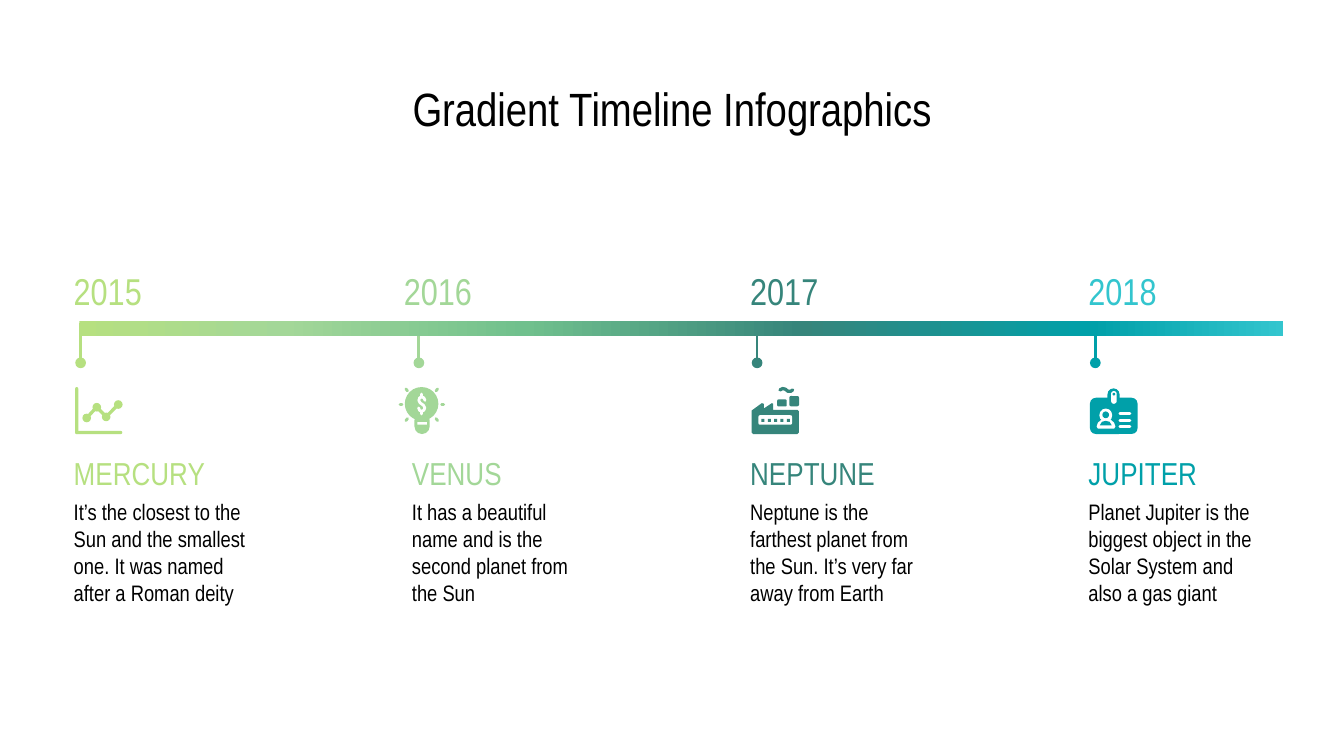
from typing import NamedTuple

from lxml import etree
from pptx import Presentation, util as u
from pptx.dml.color import RGBColor
from pptx.enum import shapes, text
from pptx.oxml import ns

FONT = "Arial Narrow"
WIDE = 10
HIGH = WIDE * 9 / 16
LEFT, COL = 0.45, 1.55
PITCH = (WIDE - 2 * LEFT - COL) / 3
ICON_TOP, UNIT = 2.88, 0.01
BLACK, WHITE = "000000", "FFFFFF"
STOPS = [(0, "B6E080"), (17, "A3D798"), (37, "70C08D"),
         (60, "36857B"), (84, "00A0A9"), (100, "33C5CE")]
KINDS = {"oval": shapes.MSO_SHAPE.OVAL, "rect": shapes.MSO_SHAPE.RECTANGLE,
         "round": shapes.MSO_SHAPE.ROUNDED_RECTANGLE,
         "pill": shapes.MSO_SHAPE.ROUNDED_RECTANGLE}


class Part(NamedTuple):
    kind: str
    geom: tuple
    hole: bool = False
    size: float = 1.5


class Stage(NamedTuple):
    year: str
    name: str
    note: str
    hue: str
    tint: str
    icon: list
    shift: float = 0


SPOTS = ((19.5, 23), (27, 15), (34, 22.2), (43, 13))
CHART = [
    Part("pill", (11, 0, 2.3, 35)),
    Part("pill", (11, 32.7, 35, 2.3)),
    Part("line", SPOTS, size=1.75),
    *[Part("oval", (x - 3.2, y - 3.2, 6.4, 6.4)) for x, y in SPOTS],
]
BULB = [
    Part("oval", (4.5, 0, 25, 25)),
    Part("pill", (11.7, 19, 11.3, 16)),
    Part("rect", (13.8, 26, 7.2, 2), True),
    Part("line", ((19.6, 10), (18.8, 8), (17.2, 7.4), (15.6, 8), (15, 10),
                  (16, 11.8), (18.5, 13.6), (19.5, 15.5), (18.7, 17.4),
                  (17.2, 18), (15.6, 17.4), (14.8, 15.5)), True),
    *[Part("line", ((17.2, y), (17.2, y + 2)), True) for y in (5.2, 18)],
    *[Part("line", ((x, 13.2), (x + 1.5, 13.2))) for x in (1, 32)],
    *[Part("line", ((17.2 + s * 11.8, y), (17.2 + s * 10.6, y + d)))
      for s in (-1, 1) for y, d in ((1.4, 1.5), (25, -1.5))],
]
PLANT = [
    Part("poly", ((11, 17.5), (18.5, 12), (20, 12.5), (20, 16), (26, 12),
                  (27, 12.5), (27, 17), (45, 17), (46, 18), (46, 34),
                  (45, 35), (12, 35), (11, 34))),
    Part("round", (16, 21, 25, 7), True),
    *[Part("rect", (18.3 + 4.7 * i, 23.7, 2.3, 2.3)) for i in range(5)],
    Part("round", (39, 6.7, 7.2, 7.6)),
    Part("round", (30, 9.3, 7, 5.2)),
    Part("line", ((32, 2.2), (34, 1.1), (36, 1.6), (38, 3.2), (40, 3.2),
                  (41.5, 2.2)), size=1.75),
]
BADGE = [
    Part("round", (11, 8, 35.5, 27)),
    Part("pill", (24, 1, 9, 13)),
    Part("pill", (26.7, 3, 4.2, 9.5), True),
    Part("oval", (27.8, 4.3, 2, 2)),
    Part("poly", ((16, 29.5), (17, 26.5), (20, 24), (26, 24), (29, 26.5),
                  (30, 29.5), (29, 31), (17, 31)), True),
    Part("oval", (18, 16, 9.6, 10), True),
    Part("oval", (20.2, 18.2, 5, 5)),
    Part("poly", ((18.3, 28.5), (20, 25.9), (22.8, 25.2), (25.6, 25.9),
                  (27.2, 28.5))),
    *[Part("line", ((33.3, y), (40.7, y)), True) for y in (20, 25, 29.5)],
]

STAGES = [
    Stage("2015", "MERCURY", "It’s the closest to the Sun and the smallest "
          "one. It was named after a Roman deity", "B6E080", "B6E080", CHART),
    Stage("2016", "VENUS", "It has a beautiful name and is the second planet "
          "from the Sun", "A3D798", "A3D798", BULB, -0.06),
    Stage("2017", "NEPTUNE", "Neptune is the farthest planet from the Sun. "
          "It’s very far away from Earth", "36857B", "36857B", PLANT),
    Stage("2018", "JUPITER", "Planet Jupiter is the biggest object in the "
          "Solar System and also a gas giant", "00A0A9", "33C5CE", BADGE),
]


def paint(fmt, hue: str) -> None:
    fmt.solid()
    fmt.fore_color.rgb = RGBColor.from_string(hue)


def place(shape, x: float, y: float, w: float, h: float) -> None:
    shape.left, shape.top = u.Inches(x), u.Inches(y)
    shape.width, shape.height = u.Inches(w), u.Inches(h)


def write(box, words: str, size: float, hue: str, mid: bool = False,
          align=text.PP_ALIGN.LEFT) -> None:
    frame = box.text_frame
    frame.text = words
    frame.word_wrap = True
    frame.auto_size = text.MSO_AUTO_SIZE.NONE
    frame.vertical_anchor = (text.MSO_ANCHOR.MIDDLE if mid
                             else text.MSO_ANCHOR.TOP)
    frame.margin_left = frame.margin_right = u.Inches(0.1)
    frame.margin_top = frame.margin_bottom = u.Inches(0.1)
    para = frame.paragraphs[0]
    para.alignment = align
    font = para.runs[0].font
    font.name, font.size = FONT, u.Pt(size)
    font.color.rgb = RGBColor.from_string(hue)


def label(slide, x: float, y: float, w: float, h: float, words: str,
          size: float, hue: str, mid: bool = False) -> None:
    box = slide.shapes.add_textbox(0, 0, 0, 0)
    place(box, x, y, w, h)
    write(box, words, size, hue, mid)


def block(slide, kind: str, x: float, y: float, w: float, h: float, hue: str):
    shape = slide.shapes.add_shape(KINDS[kind], 0, 0, 0, 0)
    place(shape, x, y, w, h)
    if kind == "pill":
        shape.adjustments[0] = 0.5
    shape.shadow.inherit = False
    paint(shape.fill, hue)
    shape.line.fill.background()
    return shape


def trace(slide, pts: list, hue: str, size: float, shut: bool) -> None:
    (x, y), *rest = [(u.Inches(a), u.Inches(b)) for a, b in pts]
    pen = slide.shapes.build_freeform(x, y)
    pen.add_line_segments(rest, close=shut)
    shape = pen.convert_to_shape()
    shape.shadow.inherit = False
    if shut:
        paint(shape.fill, hue)
        shape.line.fill.background()
    else:
        shape.fill.background()
        paint(shape.line.fill, hue)
        shape.line.width = u.Pt(size)
        line = shape._element.spPr.find(ns.qn("a:ln"))
        line.set("cap", "rnd")
        etree.SubElement(line, ns.qn("a:round"))


def draw(slide, part: Part, x: float, hue: str) -> None:
    tone = WHITE if part.hole else hue
    if part.kind in KINDS:
        a, b, w, h = (n * UNIT for n in part.geom)
        block(slide, part.kind, x + a, ICON_TOP + b, w, h, tone)
    else:
        pts = [(x + a * UNIT, ICON_TOP + b * UNIT) for a, b in part.geom]
        trace(slide, pts, tone, part.size, part.kind == "poly")


def stem(slide, x: float, hue: str) -> None:
    line = slide.shapes.add_connector(
        shapes.MSO_CONNECTOR.STRAIGHT, u.Inches(x), u.Inches(2.69),
        u.Inches(x), u.Inches(2.4))
    paint(line.line.fill, hue)
    line.line.width = u.Pt(1.5)
    etree.SubElement(line._element.spPr, ns.qn("a:effectLst"))
    block(slide, "oval", x - 0.04, 2.66, 0.08, 0.08, hue)


def band(slide) -> None:
    bar = block(slide, "rect", 0.59, 2.39, 8.96, 0.11, WHITE)
    bar.fill.gradient()
    bar.fill.gradient_angle = 0
    stops = bar._element.spPr.find(".//" + ns.qn("a:gsLst"))
    for old in list(stops):
        stops.remove(old)
    for spot, hue in STOPS:
        stop = etree.SubElement(stops, ns.qn("a:gs"), pos=str(spot * 1000))
        etree.SubElement(stop, ns.qn("a:srgbClr"), val=hue)


def main() -> None:
    deck = Presentation()
    deck.slide_width, deck.slide_height = u.Inches(WIDE), u.Inches(HIGH)
    slide = deck.slides.add_slide(deck.slide_layouts[5])
    title = slide.shapes.title
    place(title, LEFT, 0.49, WIDE - 2 * LEFT, 0.62)
    write(title, "Gradient Timeline Infographics", 25, BLACK, True,
          text.PP_ALIGN.CENTER)
    for i, stage in enumerate(STAGES):
        x = LEFT + i * PITCH
        label(slide, x + stage.shift, 1.98, 1.14, 0.36, stage.year, 20,
              stage.tint, True)
        stem(slide, x + 0.15, stage.hue)
        for part in stage.icon:
            draw(slide, part, x, stage.hue)
        label(slide, x, 3.28, COL, 0.31, stage.name, 17, stage.hue)
        label(slide, x, 3.61, COL, 0.98, stage.note, 12, BLACK)
    band(slide)
    deck.save("out.pptx")


if __name__ == "__main__":
    main()
